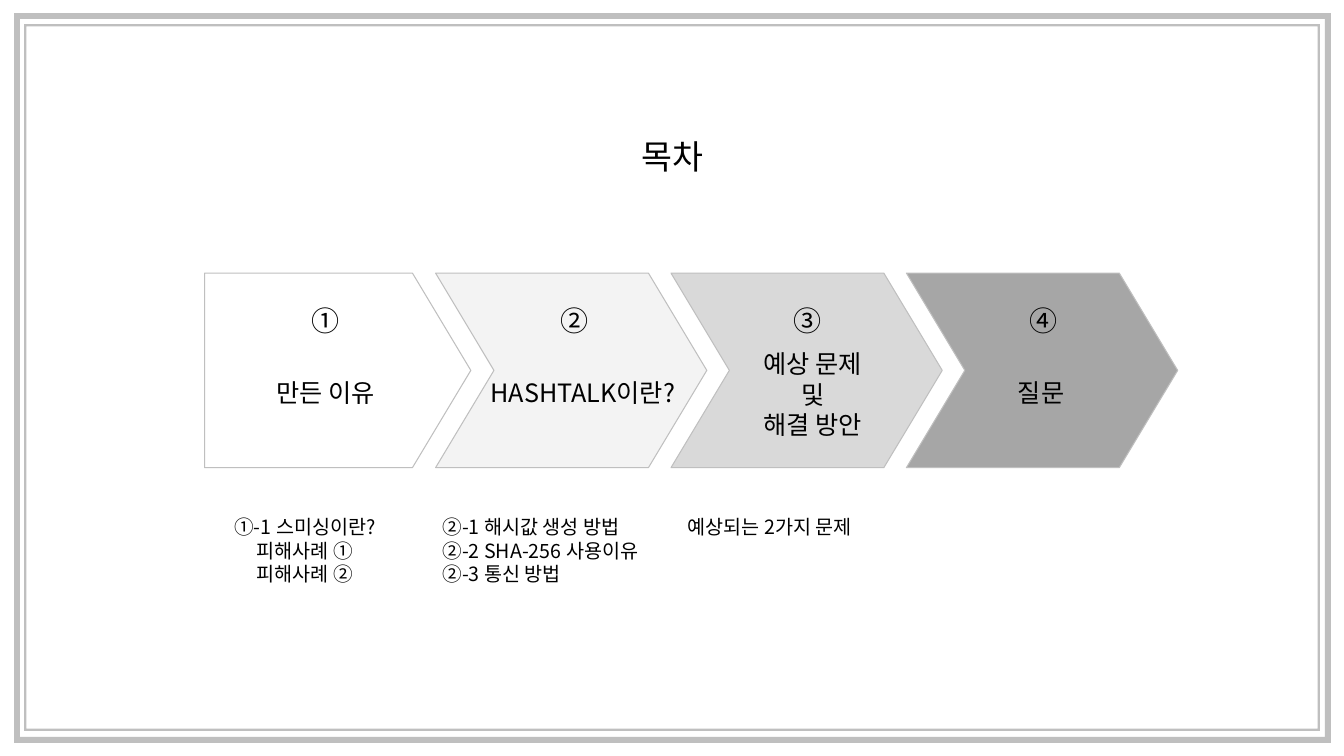
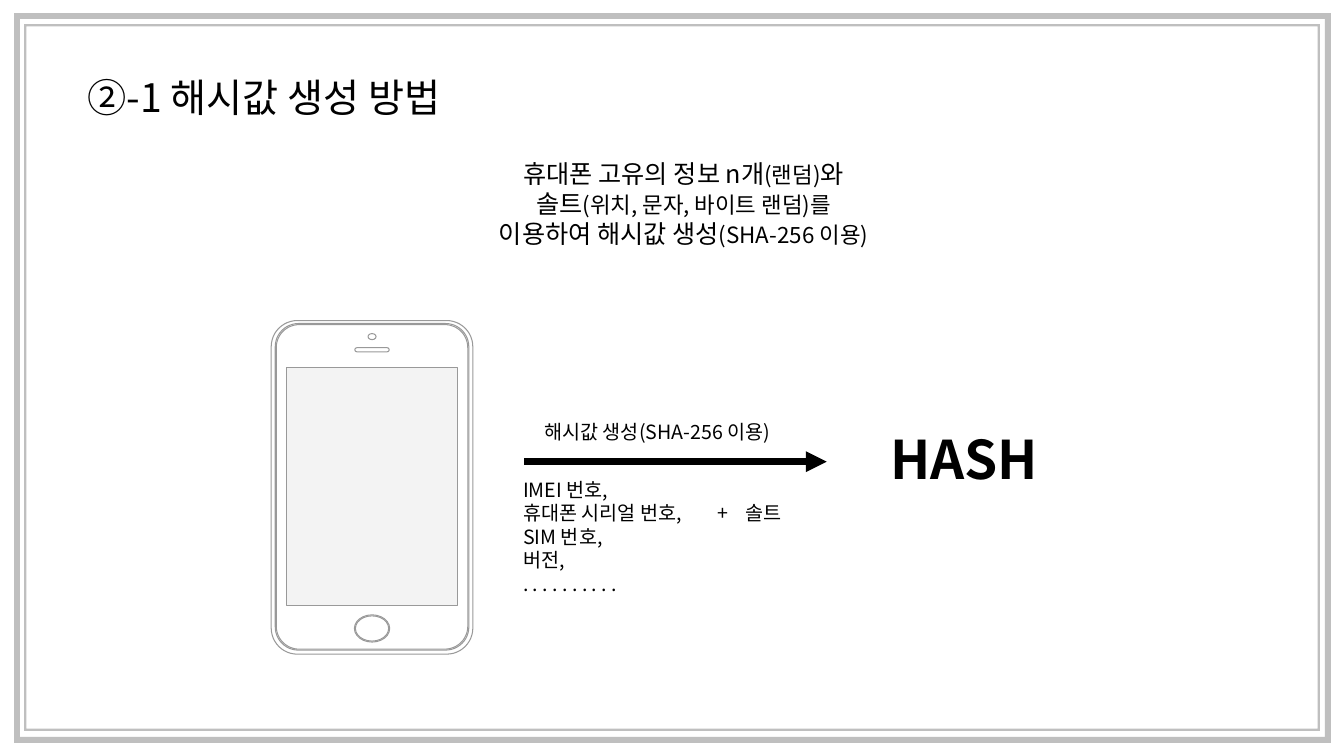
from lxml.etree import SubElement
from pptx import Presentation
from pptx.dml.color import RGBColor
from pptx.enum.shapes import MSO_CONNECTOR, MSO_SHAPE as SHAPE
from pptx.enum.text import MSO_AUTO_SIZE, PP_ALIGN
from pptx.oxml.ns import qn
from pptx.util import Inches, Pt

FONT = "Noto Sans CJK KR"
COLORS = {"ink": "000000", "border": "BFBFBF", "white": "FFFFFF", "pale": "F3F3F3",
          "light": "D9D9D9", "mid": "A6A6A6", "outline": "999999"}
LEFT, CENTER = PP_ALIGN.LEFT, PP_ALIGN.CENTER


def add_figure(slide, preset, box, fill, line=None, adj=None):
    figure = slide.shapes.add_shape(preset, *map(Inches, box))
    figure.shadow.inherit = False
    figure.fill.solid()
    figure.fill.fore_color.rgb = RGBColor.from_string(COLORS[fill])
    if line:
        figure.line.color.rgb = RGBColor.from_string(COLORS[line])
        figure.line.width = Pt(0.75)
    else:
        figure.line.fill.background()
    if adj is not None:
        figure.adjustments[0] = adj


def add_text(slide, box, lines, size, align=LEFT, wrap=False, bold=None, tab=None):
    """Each line is a string or a list of (text, size) runs."""
    frame = slide.shapes.add_textbox(*map(Inches, box)).text_frame
    frame.word_wrap = wrap
    frame.auto_size = MSO_AUTO_SIZE.SHAPE_TO_FIT_TEXT
    for i, line in enumerate(lines):
        para = frame.add_paragraph() if i else frame.paragraphs[0]
        para.alignment = align
        props = para._p.get_or_add_pPr()
        if tab:
            stops = SubElement(props, qn("a:tabLst"))
            SubElement(stops, qn("a:tab"), pos=str(Inches(tab)), algn="l")
        para.font.size = Pt(size)
        para.font.bold = bold
        para.font.color.rgb = RGBColor.from_string(COLORS["ink"])
        para.font.name = FONT
        SubElement(props.find(qn("a:defRPr")), qn("a:ea"), typeface=FONT)
        for text, run_size in [(line, size)] if isinstance(line, str) else line:
            run = para.add_run()
            run.text = text
            if run_size != size:
                run.font.size = Pt(run_size)


prs = Presentation()
prs.slide_width, prs.slide_height = Inches(13.33), Inches(7.5)

# Both slides carry the same double border
contents, hashing = [prs.slides.add_slide(prs.slide_layouts[6]) for _ in range(2)]
for slide in (contents, hashing):
    add_figure(slide, SHAPE.FRAME, (0.14, 0.13, 13.06, 7.24), "border", adj=0.008)
    add_figure(slide, SHAPE.FRAME, (0.24, 0.24, 12.85, 7.01), "border", adj=0.003)

# Contents: row of arrows
add_figure(contents, SHAPE.PENTAGON, (2.03, 2.71, 2.64, 1.93), "white", "border", 0.3)
for i, fill in enumerate(("pale", "light", "mid")):
    add_figure(contents, SHAPE.CHEVRON, (4.32 + 2.335 * i, 2.71, 2.69, 1.93),
               fill, "border", 0.3)

# Contents: title, then number and label on each arrow
add_text(contents, (6.23, 1.3, 0.88, 0.5), ["목차"], 24, CENTER)
stages = [
    ("①", 2.99, (2.58, 3.69, 1.3, 0.4), ["만든 이유"]),
    ("②", 5.46, (4.76, 3.69, 2.04, 0.4), ["HASHTALK이란?"]),
    ("③", 7.77, (7.41, 3.41, 1.3, 1.01), ["예상 문제", "및", "해결 방안"]),
    ("④", 10.11, (9.97, 3.69, 0.71, 0.4), ["질문"]),
]
for number, number_left, label_box, label in stages:
    add_text(contents, (number_left, 2.96, 0.48, 0.44), [number], 20, CENTER)
    add_text(contents, label_box, label, 18, CENTER)

# Contents: subtopics below the arrows
subtopics = [
    (2.17, 1.71, CENTER, ["①-1 스미싱이란?", "피해사례 ①", "피해사례 ②"]),
    (4.29, 2.28, LEFT, ["②-1 해시값 생성 방법", "②-2 SHA-256 사용이유", "②-3 통신 방법"]),
    (6.72, 2.07, LEFT, ["예상되는 2가지 문제"]),
]
for left, width, align, lines in subtopics:
    add_text(contents, (left, 5.06, width, 0.81), lines, 14, align, wrap=True)

# Hashing: title and summary
add_text(hashing, (0.77, 0.68, 4.14, 0.57), ["②-1 해시값 생성 방법"], 28)
summary = [
    [("휴대폰 고유의 정보 n개", 18), ("(랜덤)", 16), ("와", 18)],
    [("솔트", 18), ("(위치, 문자, 바이트 랜덤)를", 16)],
    [("이용하여 해시값 생성", 18), ("(SHA-256 이용)", 16)],
]
add_text(hashing, (1.21, 1.52, 11.14, 1.01), summary, 18, CENTER, wrap=True)

# Hashing: phone, its parts centred on one axis (preset, top, width, height, fill, adj)
phone_axis = 3.69
phone_parts = [
    (SHAPE.ROUNDED_RECTANGLE, 3.18, 2, 3.31, "white", 0.13),
    (SHAPE.ROUNDED_RECTANGLE, 3.21, 1.92, 3.24, "white", 0.12),
    (SHAPE.ROUNDED_RECTANGLE, 3.22, 1.9, 3.22, "white", 0.12),
    (SHAPE.OVAL, 3.31, 0.08, 0.06, "white", None),
    (SHAPE.ROUNDED_RECTANGLE, 3.45, 0.34, 0.04, "white", 0.5),
    (SHAPE.RECTANGLE, 3.65, 1.7, 2.36, "pale", None),
    (SHAPE.OVAL, 6.1, 0.35, 0.27, "white", None),
    (SHAPE.OVAL, 6.11, 0.33, 0.25, "white", None),
]
for preset, top, width, height, fill, adj in phone_parts:
    add_figure(hashing, preset, (phone_axis - width / 2, top, width, height),
               fill, "outline", adj)

# Hashing: arrow from phone to hash
arrow = hashing.shapes.add_connector(
    MSO_CONNECTOR.STRAIGHT, Inches(5.2), Inches(4.58), Inches(8.2), Inches(4.58))
arrow.line.color.rgb = RGBColor.from_string(COLORS["ink"])
arrow.line.width = Pt(5)
SubElement(arrow.line._get_or_add_ln(), qn("a:tailEnd"), type="triangle")
SubElement(arrow._element.spPr, qn("a:effectLst"))

# Hashing: inputs and result
add_text(hashing, (5.3, 4.12, 2.62, 0.34), ["해시값 생성(SHA-256 이용)"], 14)
inputs = ["IMEI 번호,", "휴대폰 시리얼 번호,", "SIM 번호,", "버전,", ". . . . . . . . . ."]
add_text(hashing, (5.09, 4.69, 1.95, 1.51), inputs, 14)
add_text(hashing, (7.02, 4.92, 0.94, 0.34), ["+\t솔트"], 14, wrap=True, tab=0.28)
add_text(hashing, (8.73, 4.18, 1.7, 0.98), ["HASH"], 38, bold=True)

prs.save("out.pptx")
